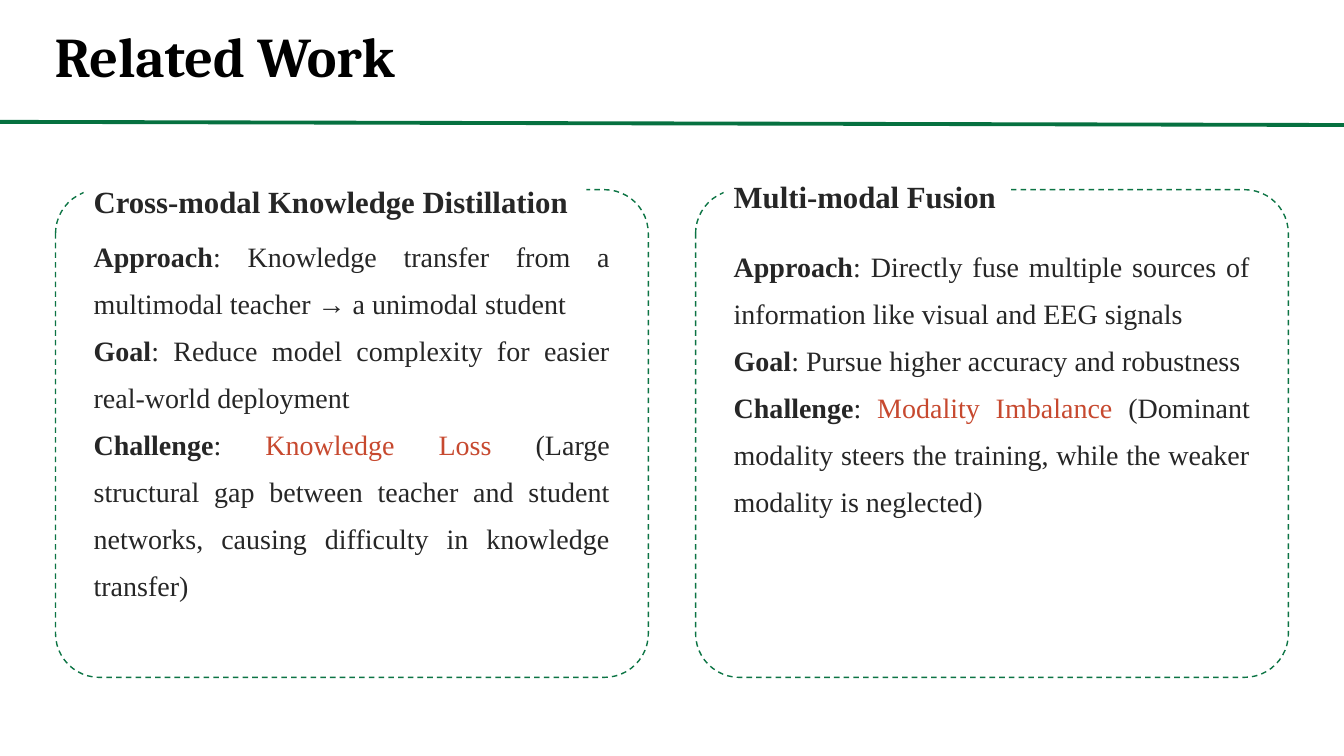
from lxml.etree import SubElement
from pptx import Presentation
from pptx.dml.color import RGBColor
from pptx.enum.dml import MSO_LINE
from pptx.enum.shapes import MSO_CONNECTOR, MSO_SHAPE
from pptx.enum.text import MSO_ANCHOR, PP_ALIGN
from pptx.oxml.ns import qn
from pptx.util import Cm, Pt

GREEN = RGBColor(0x0C, 0x74, 0x44)
RULE = RGBColor(0x06, 0x71, 0x40)
DARK = RGBColor(0x26, 0x26, 0x26)
RED = RGBColor(0xC7, 0x49, 0x2F)
BLACK = RGBColor(0, 0, 0)
WHITE = RGBColor(0xFF, 0xFF, 0xFF)
SERIF = "Times New Roman"

TITLE = "Related Work"
CARDS = [
    {
        "head": "Cross-modal Knowledge Distillation",
        "head_top": 4.11, "head_wide": 12.67,
        "body_top": 5.56, "body_high": 9.83,
        "items": [
            ("Approach", "", ": Knowledge transfer from a multimodal teacher → a unimodal student"),
            ("Goal", "", ": Reduce model complexity for easier real-world deployment"),
            ("Challenge", "Knowledge Loss", " (Large structural gap between teacher and student "
             "networks, causing difficulty in knowledge transfer)"),
        ],
    },
    {
        "head": "Multi-modal Fusion",
        "head_top": 3.99, "head_wide": 7.24,
        "body_top": 5.82, "body_high": 7.44,
        "items": [
            ("Approach", "", ": Directly fuse multiple sources of information like visual and EEG signals"),
            ("Goal", "", ": Pursue higher accuracy and robustness"),
            ("Challenge", "Modality Imbalance", " (Dominant modality steers the training, while the "
             "weaker modality is neglected)"),
        ],
    },
]
LEFT, TOP, WIDE, HIGH, STEP = 1.4, 4.78, 14.94, 12.29, 16.13
INSET, BODY_WIDE, HEAD_HIGH = 0.71, 13.51, 1.57


def style(par, size):
    par.alignment = PP_ALIGN.JUSTIFY
    par.line_spacing = 1.4
    par.font.size = Pt(size)
    par.font.name = SERIF
    par.font.color.rgb = DARK


def add_run(par, text, bold=False, color=None):
    run = par.add_run()
    run.text = text
    if bold:
        run.font.bold = True
    if color is not None:
        run.font.color.rgb = color


def add_card(shapes, card, left):
    frame = shapes.add_shape(MSO_SHAPE.ROUNDED_RECTANGLE, Cm(left), Cm(TOP), Cm(WIDE), Cm(HIGH))
    frame.adjustments[0] = 0.09
    frame.shadow.inherit = False
    frame.fill.background()
    frame.line.color.rgb = GREEN
    frame.line.width = Pt(1)
    frame.line.dash_style = MSO_LINE.DASH

    inner = Cm(left + INSET)
    head = shapes.add_textbox(inner, Cm(card["head_top"]), Cm(card["head_wide"]), Cm(HEAD_HIGH))
    head.fill.solid()
    head.fill.fore_color.rgb = WHITE
    head.text_frame.word_wrap = True
    par = head.text_frame.paragraphs[0]
    par.text = card["head"]
    style(par, 22)
    par.font.bold = True

    body = shapes.add_textbox(inner, Cm(card["body_top"]), Cm(BODY_WIDE), Cm(card["body_high"]))
    text = body.text_frame
    text.word_wrap = True
    for i, (label, key, rest) in enumerate(card["items"]):
        par = text.add_paragraph() if i else text.paragraphs[0]
        style(par, 20)
        add_run(par, label, bold=True)
        if key:
            add_run(par, ": ")
            add_run(par, key, color=RED)
        add_run(par, rest)


def main():
    deck = Presentation()
    deck.slide_width, deck.slide_height = Cm(33.87), Cm(19.05)
    slide = deck.slides.add_slide(deck.slide_layouts[5])
    shapes = slide.shapes

    title = shapes.title
    title.left, title.top, title.width, title.height = Cm(1.12), Cm(0.41), Cm(16.48), Cm(2.16)
    title.text_frame.text = TITLE
    title.text_frame.vertical_anchor = MSO_ANCHOR.MIDDLE
    par = title.text_frame.paragraphs[0]
    par.alignment = PP_ALIGN.LEFT
    par.line_spacing = 0.9
    par.font.name = "Cambria"
    par.font.size = Pt(40)
    par.font.bold = True
    par.font.color.rgb = BLACK

    rule = shapes.add_connector(MSO_CONNECTOR.STRAIGHT, 0, Cm(3.07), deck.slide_width, Cm(3.15))
    rule.line.color.rgb = RULE
    rule.line.width = Pt(2.75)
    SubElement(rule._element.spPr, qn("a:effectLst"))

    for i, card in enumerate(CARDS):
        add_card(shapes, card, LEFT + i * STEP)
    deck.save("out.pptx")


if __name__ == "__main__":
    main()
